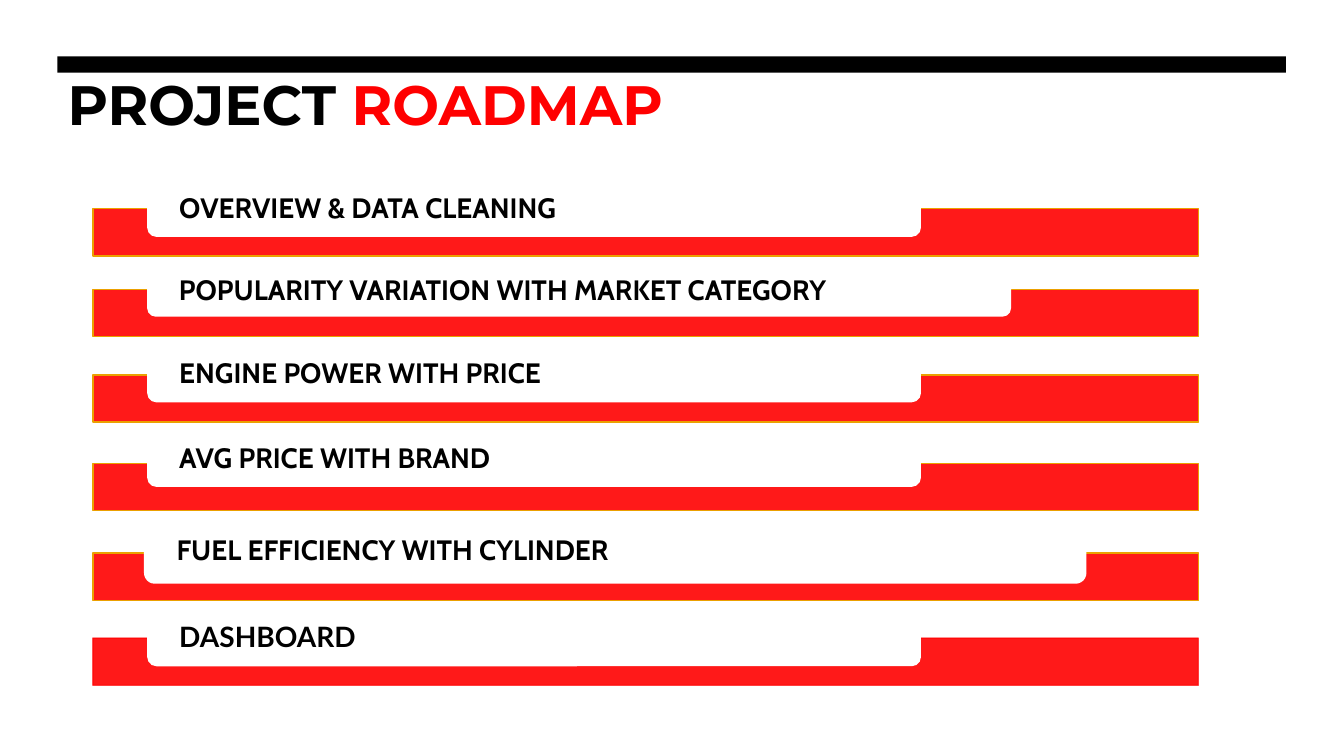
from pptx import Presentation
from pptx.dml.color import RGBColor
from pptx.enum.shapes import MSO_SHAPE
from pptx.enum.text import MSO_ANCHOR, MSO_AUTO_SIZE, PP_ALIGN
from pptx.oxml.ns import qn
from pptx.util import Cm, Pt
from lxml.etree import SubElement

BLACK, WHITE, RED, GOLD = "000000", "FFFFFF", "FF0000", "EBA000"
BAR_LEFT, BAR_WIDTH, BAR_HEIGHT = 2.34, 27.86, 1.19
ROADMAP = [
    ("OVERVIEW & DATA CLEANING", 5.26, (3.71, 4.57, 19.5, 1.4), "Cabin", GOLD, 100),
    ("POPULARITY VARIATION WITH MARKET CATEGORY", 7.29, (3.71, 6.71, 21.77, 1.27), "Cabin", GOLD, 100),
    ("ENGINE POWER WITH PRICE", 9.45, (3.71, 8.74, 19.5, 1.4), "Cabin", GOLD, 100),
    ("AVG PRICE WITH BRAND", 11.68, (3.71, 10.87, 19.5, 1.4), "Cabin", GOLD, 100),
    ("FUEL EFFICIENCY WITH CYLINDER", 13.94, (3.63, 13.08, 23.75, 1.63), "Cabin", GOLD, 100),
    ("DASHBOARD", 16.08, (3.71, 15.39, 19.5, 1.4), "Lato", RED, 63),
]


def color(value):
    return RGBColor.from_string(value)


def set_values(target, values):
    for name, value in values.items():
        setattr(target, name, value)


def set_opacity(fill_format, percent):
    if percent < 100:
        element = fill_format._xPr.find(qn("a:solidFill"))[0]
        SubElement(element, qn("a:alpha")).set("val", str(percent * 1000))


class RoadmapSlide:
    def __init__(self, presentation):
        self.slide = presentation.slides.add_slide(presentation.slide_layouts[5])

    def box(self, kind, area, fill, opacity=100, line=None, line_opacity=100):
        shape = self.slide.shapes.add_shape(kind, *map(Cm, area))
        shape.shadow.inherit = False
        shape.fill.solid()
        shape.fill.fore_color.rgb = color(fill)
        set_opacity(shape.fill, opacity)
        if line:
            shape.line.width = Pt(1)
            shape.line.color.rgb = color(line)
            set_opacity(shape.line.fill, line_opacity)
        else:
            shape.line.fill.background()
        return shape

    def run(self, paragraph, text, font, size, fill):
        run = paragraph.add_run()
        run.text = text
        set_values(run.font, {"name": font, "size": Pt(size), "bold": True})
        run.font.color.rgb = color(fill)

    def title(self, area, parts):
        shape = self.slide.shapes.title
        set_values(shape, dict(zip(("left", "top", "width", "height"), map(Cm, area))))
        set_values(shape.text_frame, {
            "auto_size": MSO_AUTO_SIZE.NONE,
            "vertical_anchor": MSO_ANCHOR.TOP,
            "word_wrap": True,
        })
        paragraph = shape.text_frame.paragraphs[0]
        paragraph.alignment = PP_ALIGN.LEFT
        for text, fill in parts:
            self.run(paragraph, text, "Montserrat", 39.6, fill)

    def step(self, text, bar_top, label_area, font, line, line_opacity):
        bar_area = (BAR_LEFT, bar_top, BAR_WIDTH, BAR_HEIGHT)
        self.box(MSO_SHAPE.RECTANGLE, bar_area, RED, 90, line, line_opacity)
        label = self.box(MSO_SHAPE.ROUNDED_RECTANGLE, label_area, WHITE)
        set_values(label.text_frame, {
            "margin_left": Cm(0.74),
            "margin_right": Cm(0.74),
            "margin_top": 0,
            "margin_bottom": 0,
            "vertical_anchor": MSO_ANCHOR.MIDDLE,
            "word_wrap": True,
        })
        paragraph = label.text_frame.paragraphs[0]
        set_values(paragraph, {"alignment": PP_ALIGN.LEFT, "line_spacing": 0.9})
        self.run(paragraph, text, font, 20, BLACK)


def main():
    presentation = Presentation()
    set_values(presentation, {"slide_width": Cm(33.87), "slide_height": Cm(19.05)})
    roadmap = RoadmapSlide(presentation)
    roadmap.box(MSO_SHAPE.RECTANGLE, (1.45, 1.42, 30.96, 0.41), BLACK)
    roadmap.title((1.45, 1.65, 17.7, 2.36), [("PROJECT ", BLACK), ("ROADMAP", RED)])
    for step in ROADMAP:
        roadmap.step(*step)
    presentation.save("out.pptx")


if __name__ == "__main__":
    main()
